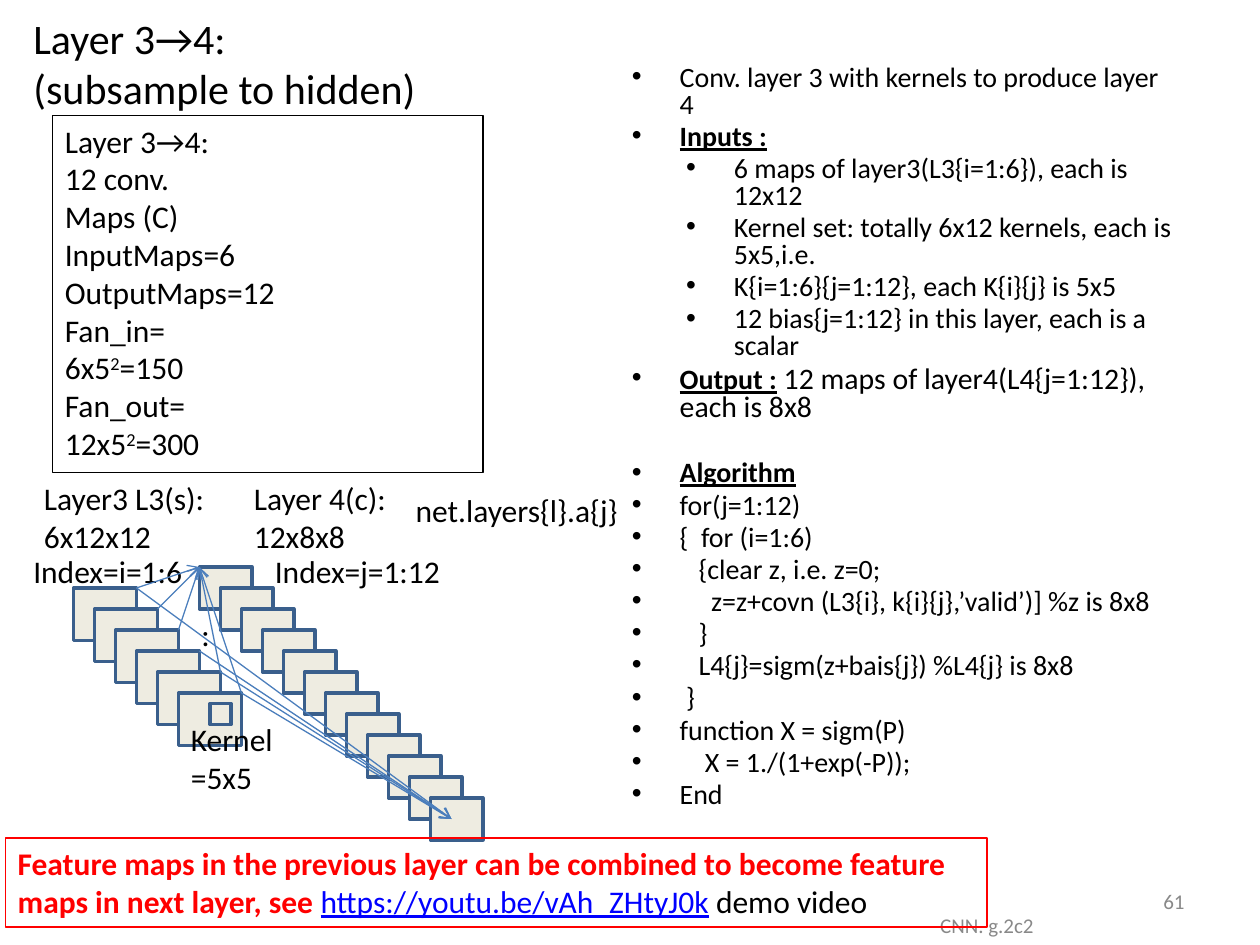
from collections import namedtuple

from lxml.etree import SubElement
from pptx import Presentation
from pptx.dml.color import RGBColor
from pptx.enum.shapes import MSO_CONNECTOR as Connector, MSO_SHAPE as Shape
from pptx.enum.text import MSO_ANCHOR as Anchor, PP_ALIGN as Align
from pptx.oxml.ns import qn
from pptx.util import Inches, Pt

COLUMNS, ROWS = 60, 45
WIDTH, HEIGHT = Inches(10), Inches(7.5)
Box = namedtuple("Box", "left top width height")
HEADING = {"bold": True, "underline": True}


def color(value):
    return RGBColor.from_string(value)


def across(columns):
    return round(WIDTH * columns / COLUMNS)


def down(rows):
    return round(HEIGHT * rows / ROWS)


def place(box):
    return across(box.left), down(box.top), across(box.width), down(box.height)


def within(region, left, top, width, height):
    return Box(region.left + left, region.top + top, width, height)


def style_run(run, size=18, fill="000000", bold=False, underline=False, raised=False):
    font = run.font
    font.name, font.size, font.bold, font.underline = "Calibri", Pt(size), bold, underline
    font.color.rgb = color(fill)
    if raised:
        font._element.set("baseline", "30000")


def write(frame, paragraphs, **base):
    for index, pieces in enumerate(paragraphs):
        paragraph = frame.paragraphs[0] if index == 0 else frame.add_paragraph()
        if isinstance(pieces, str):
            paragraph.text = pieces
            for run in paragraph.runs:
                style_run(run, **base)
        else:
            for text, changes in pieces:
                run = paragraph.add_run()
                run.text = text
                style_run(run, **{**base, **changes})


def text_box(slide, box, paragraphs, wrap=True, anchor=Anchor.TOP, align=Align.LEFT, **base):
    frame = slide.shapes.add_textbox(*place(box)).text_frame
    frame.word_wrap, frame.vertical_anchor = wrap, anchor
    write(frame, paragraphs, **base)
    for paragraph in frame.paragraphs:
        paragraph.alignment = align
    return frame


def rectangle(slide, box, outline, weight, fill=None):
    shape = slide.shapes.add_shape(Shape.RECTANGLE, *place(box))
    shape.shadow.inherit = False
    shape.line.color.rgb, shape.line.width = color(outline), Pt(weight)
    if fill:
        shape.fill.solid()
        shape.fill.fore_color.rgb = color(fill)
    else:
        shape.fill.background()
    return shape


def feature_map(slide, box):
    rectangle(slide, box, "3A5F8C", 2, "EEECE1")


def arrow(slide, start, end):
    ends = [measure(value) for point in (start, end)
            for measure, value in zip((across, down), point)]
    line = slide.shapes.add_connector(Connector.STRAIGHT, *ends)
    line.line.color.rgb, line.line.width = color("4B7EBC"), Pt(0.75)
    SubElement(line.line._get_or_add_ln(), qn("a:tailEnd"), type="arrow")
    SubElement(line._element.spPr, qn("a:effectLst"))


def framed_text(slide, box, paragraphs, outline, **base):
    frame = rectangle(slide, box, outline, 0.75).text_frame
    frame.word_wrap, frame.vertical_anchor = True, Anchor.TOP
    write(frame, paragraphs, **base)
    for paragraph in frame.paragraphs:
        paragraph.alignment = Align.LEFT


def title(slide, box):
    text_box(slide, box, ["Layer 3→4:\v(subsample to hidden)"], anchor=Anchor.MIDDLE, size=24)


def layer_summary(slide, box):
    square = ("2", {"raised": True})
    framed_text(slide, box, [
        "Layer 3→4:", "12 conv.", "Maps (C)", "InputMaps=6", "OutputMaps=12",
        "Fan_in=", [("6x5", {}), square, ("=150", {})],
        "Fan_out=", [("12x5", {}), square, ("=300", {})],
    ], "000000")


def map_diagram(slide, box):
    inputs = [within(box, 2.5 + step, 5.5 + step, 3, 2.5) for step in range(6)]
    outputs = [within(box, 8.5 + step, 4.5 + step, 2.5, 2) for step in range(12)]
    for layer_map in inputs + outputs:
        feature_map(slide, layer_map)

    labels = [
        (7.5, 11.5, 5.16, ["Kernel", "=5x5"]),
        (10.5, 0, 7.62, ["Layer 4(c):", "12x8x8"]),
        (0.5, 0, 8.94, ["Layer3 L3(s):", "6x12x12"]),
        (0, 3.5, 8.4, ["Index=i=1:6"]),
        (11.5, 3.5, 9.18, ["Index=j=1:12"]),
        (8, 6.5, 1.62, [":"]),
        (18.2, 0.6, 10.92, ["net.layers{l}.a{j}"]),
    ]
    for left, top, width, lines in labels:
        label_box = within(box, left, top, width, 0.54 + 1.86 * len(lines))
        text_box(slide, label_box, lines, wrap=False)
    feature_map(slide, within(box, 9, 11, 1, 1))

    first, last = outputs[0], outputs[-1]
    targets = [
        ((first.left, first.top), (0, 1, 2, 4, 5)),
        ((last.left + 1, last.top + 1), (0, 3, 4, 5)),
    ]
    for target, sources in targets:
        for source in sources:
            corner = inputs[source]
            arrow(slide, (corner.left + corner.width, corner.top), target)


def algorithm_notes(slide, box):
    notes = [
        (0, "Conv. layer 3 with kernels to produce layer 4"),
        (0, [("Inputs :", HEADING)]),
        (1, "6 maps of layer3(L3{i=1:6}), each is 12x12"),
        (1, "Kernel set: totally 6x12 kernels, each is 5x5,i.e."),
        (1, "K{i=1:6}{j=1:12}, each K{i}{j} is 5x5"),
        (1, "12 bias{j=1:12} in this layer, each is a scalar"),
        (0, [("Output :", HEADING),
             (" 12 maps of layer4(L4{j=1:12}), each is 8x8", {"size": 17})]),
        (0, [("Algorithm", HEADING)]),
        (0, "for(j=1:12)"),
        (0, "{  for (i=1:6)"),
        (0, "   {clear z, i.e. z=0;"),
        (0, "     z=z+covn (L3{i}, k{i}{j},’valid’)] %z is 8x8"),
        (0, "   }"),
        (0, "   L4{j}=sigm(z+bais{j}) %L4{j} is 8x8"),
        (0, " }"),
        (0, "function X = sigm(P)"),
        (0, "    X = 1./(1+exp(-P));"),
        (0, "End"),
    ]
    algorithm_start = 7
    frame = text_box(slide, box, [content for _, content in notes], size=16)
    for index, (paragraph, (level, _)) in enumerate(zip(frame.paragraphs, notes)):
        paragraph.level = level
        paragraph.line_spacing = 0.8
        paragraph.space_before = Pt({0: 0, algorithm_start: 21.6}.get(index, 3))
        properties = paragraph._p.get_or_add_pPr()
        properties.set("marL", str(Inches(0.38 + 0.43 * level)))
        properties.set("indent", str(Inches(-0.38)))
        SubElement(properties, qn("a:buFont"), typeface="Arial")
        SubElement(properties, qn("a:buChar"), char="•")


def video_banner(slide, box):
    framed_text(slide, box, [[
        ("Feature maps in the previous layer can be combined to become feature "
         "maps in next layer, see ", {"fill": "FF0000", "bold": True}),
        ("https://youtu.be/vAh_ZHtyJ0k", {"fill": "0000FF", "underline": True}),
        (" demo video", {}),
    ]], "FF0000")


def footer(slide, box):
    parts = [
        (0, 1.14, 19, "CNN. g.2c2", Align.CENTER),
        (5.5, 0, 14, "61", Align.RIGHT),
    ]
    for left, top, width, text, align in parts:
        text_box(slide, within(box, left, top, width, 2.4), [text],
                 anchor=Anchor.MIDDLE, align=align, size=12, fill="898989")


def main():
    deck = Presentation()
    deck.slide_width, deck.slide_height = WIDTH, HEIGHT
    slide = deck.slides.add_slide(deck.slide_layouts[6])
    title(slide, Box(1, 0, 54, 6))
    footer(slide, Box(37.5, 41.7, 19.5, 3.3))
    layer_summary(slide, Box(2.5, 5.5, 20.5, 17))
    map_diagram(slide, Box(1, 22.5, 30, 18))
    algorithm_notes(slide, Box(29.5, 2.85, 27, 42.15))
    video_banner(slide, Box(0.25, 39.9, 46.75, 4.25))
    deck.save("out.pptx")


if __name__ == "__main__":
    main()
